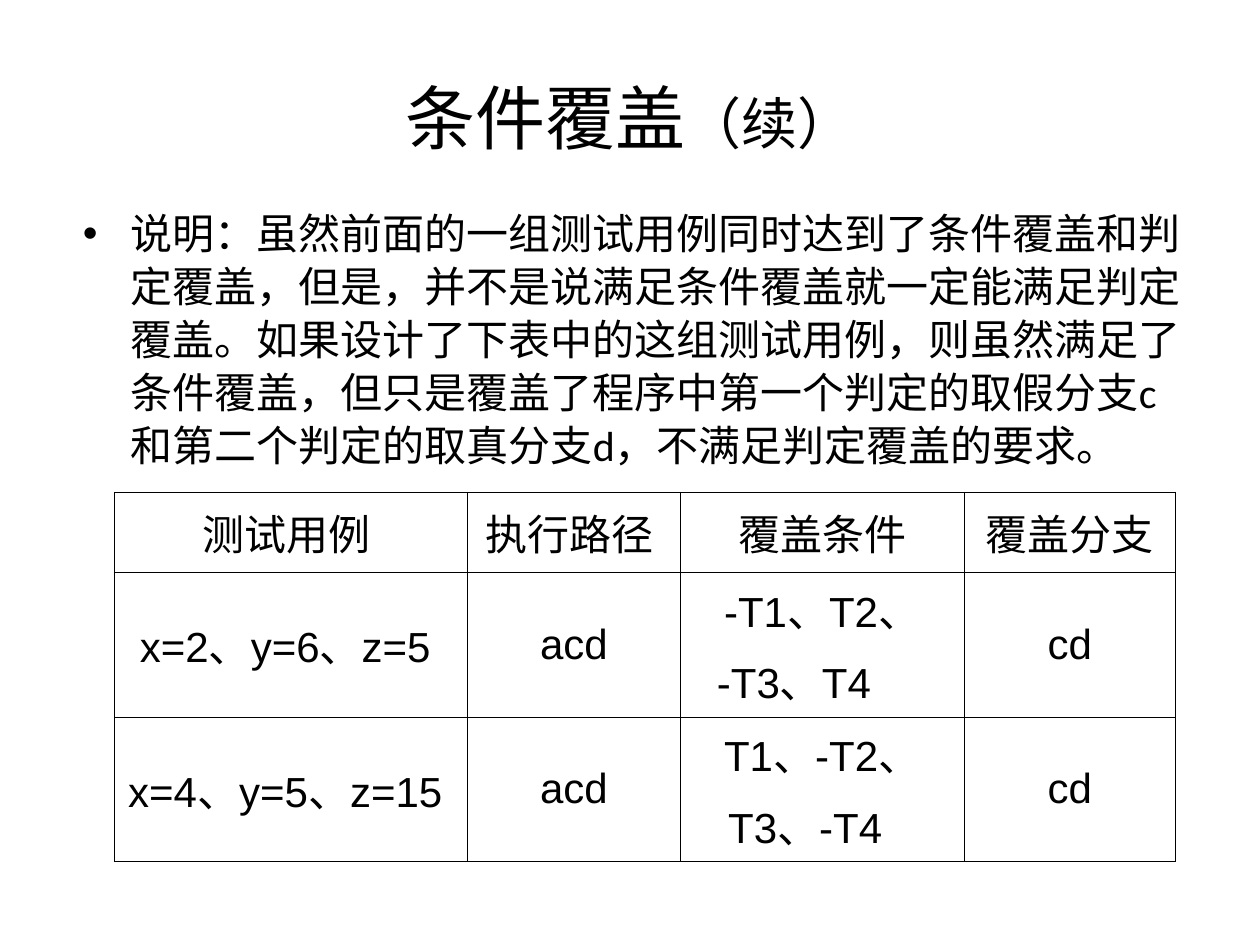
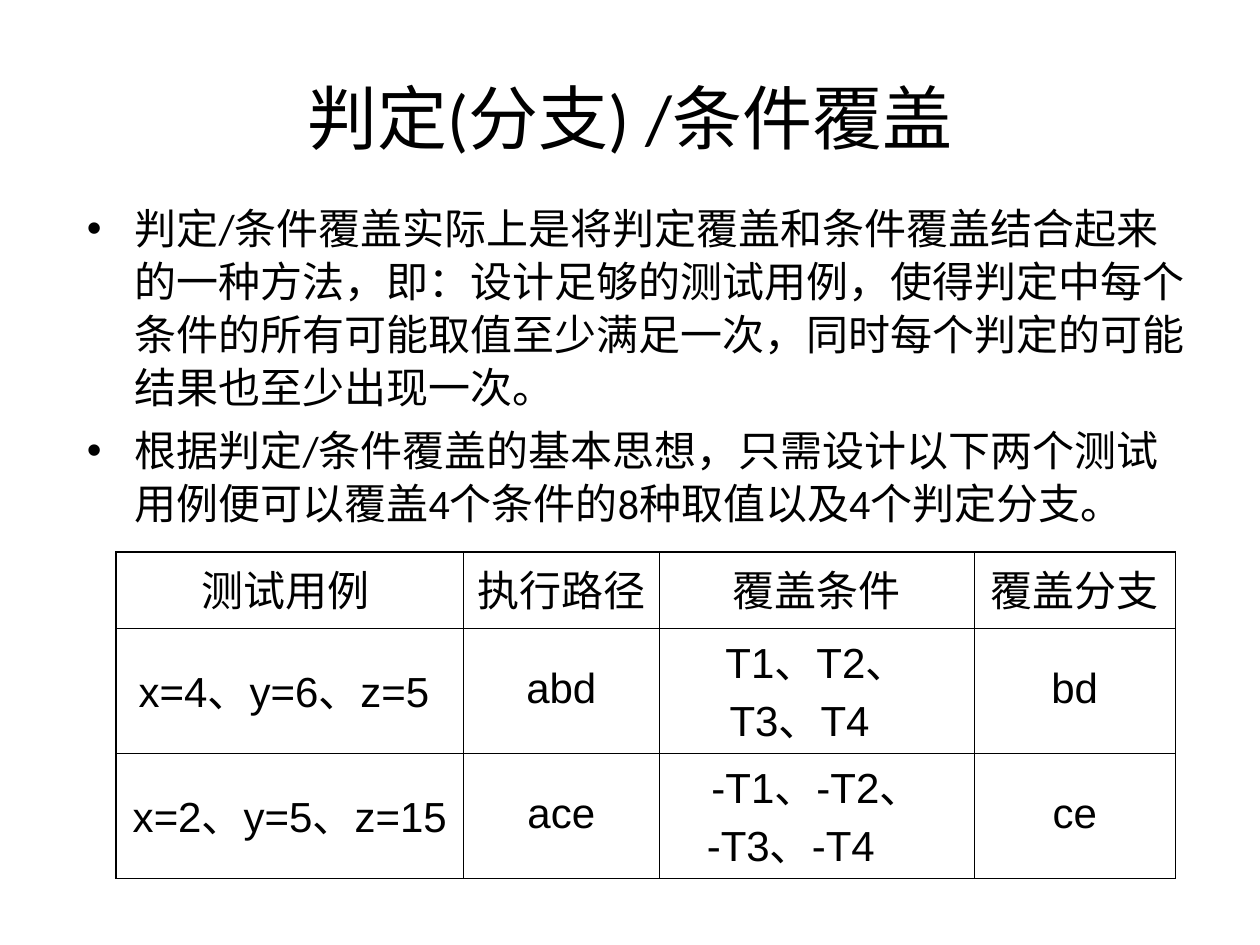
from dataclasses import dataclass

from lxml.etree import SubElement
from pptx import Presentation
from pptx.dml.color import RGBColor
from pptx.enum.lang import MSO_LANGUAGE_ID
from pptx.enum.text import MSO_ANCHOR, PP_ALIGN
from pptx.oxml import parse_xml
from pptx.oxml.ns import nsdecls, qn
from pptx.util import Inches, Pt


@dataclass(frozen=True)
class Theme:
    """Colours, fonts, type sizes and line widths of the deck."""
    ink: str = "000000"
    text_font: str = "Calibri"
    table_font: str = "Arial"
    title_size: float = 40
    suffix_size: float = 32
    body_size: float = 24
    outer_line: float = 1.08
    inner_line: float = 0.45


class Deck:
    """Holds the theme and the current slide and draws each kind of element."""

    def __init__(self, prs, theme):
        """Keep the presentation and its theme."""
        self.prs, self.theme, self.s = prs, theme, None

    def slide(self):
        """Start a blank slide."""
        self.s = self.prs.slides.add_slide(self.prs.slide_layouts[6])

    def style(self, r, size, font):
        """Format one run."""
        r.font.size = Pt(size)
        r.font.name = font
        r.font.color.rgb = RGBColor.from_string(self.theme.ink)
        r.font.language_id = MSO_LANGUAGE_ID.SIMPLIFIED_CHINESE

    def text_box(self, left, top, width, height):
        """Add a wrapping text box and return its text frame."""
        sp = self.s.shapes.add_textbox(Inches(left), Inches(top), Inches(width), Inches(height))
        sp.text_frame.word_wrap = True
        return sp.text_frame

    def title(self, text, suffix=""):
        """Add the centred title, with an optional smaller suffix."""
        tf = self.text_box(0.5, 0.3, 9, 1.25)
        tf.vertical_anchor = MSO_ANCHOR.MIDDLE
        p = tf.paragraphs[0]
        p.alignment = PP_ALIGN.CENTER
        for part, size in ((text, self.theme.title_size), (suffix, self.theme.suffix_size)):
            if part:
                r = p.add_run()
                r.text = part
                self.style(r, size, self.theme.text_font)

    def bullets(self, left, top, width, height, items):
        """Add a bulleted list."""
        tf = self.text_box(left, top, width, height)
        for i, item in enumerate(items):
            p = tf.paragraphs[0] if i == 0 else tf.add_paragraph()
            p.text = item
            p.line_spacing = 1.05
            if i:
                p.space_before = Pt(6)
            pPr = p._p.get_or_add_pPr()
            pPr.set("marL", str(Inches(0.38)))
            pPr.set("indent", str(-Inches(0.38)))
            SubElement(pPr, qn("a:buFont"), typeface=self.theme.table_font)
            SubElement(pPr, qn("a:buChar"), char="•")
            self.style(p.runs[0], self.theme.body_size, self.theme.text_font)

    def borders(self, cell, widths):
        """Draw the left, right, top and bottom borders of a cell."""
        tcPr = cell._tc.get_or_add_tcPr()
        for i, (side, width) in enumerate(zip("LRTB", widths)):
            tcPr.insert(i, parse_xml(
                f'<a:ln{side} {nsdecls("a")} w="{Pt(width)}"><a:solidFill>'
                f'<a:srgbClr val="{self.theme.ink}"/></a:solidFill></a:ln{side}>'))

    def cell(self, cell, content, line_spacing, space_before):
        """Fill a cell; a tuple gives two lines and the indent of the second."""
        first, *more = content if isinstance(content, tuple) else (content,)
        cell.fill.background()
        cell.vertical_anchor = MSO_ANCHOR.MIDDLE
        tf = cell.text_frame
        p = tf.paragraphs[0]
        p.text = first
        p.alignment = PP_ALIGN.CENTER
        if more:
            p = tf.add_paragraph()
            p.text = more[0]
            p.alignment = PP_ALIGN.LEFT
            p.space_before = Pt(space_before)
            p._p.get_or_add_pPr().set("marL", str(Inches(more[1])))
        for p in tf.paragraphs:
            p.line_spacing = line_spacing
            self.style(p.runs[0], self.theme.body_size, self.theme.table_font)

    def table(self, left, top, widths, heights, rows, line_spacing, space_before):
        """Add a ruled table with a heavier outline on the left, top and right."""
        outer, inner = self.theme.outer_line, self.theme.inner_line
        table = self.s.shapes.add_table(
            len(rows), len(widths), Inches(left), Inches(top),
            Inches(sum(widths)), Inches(sum(heights))).table
        table.first_row = table.horz_banding = False
        for column, width in zip(table.columns, widths):
            column.width = Inches(width)
        for i, (row, height) in enumerate(zip(rows, heights)):
            table.rows[i].height = Inches(height)
            for j, content in enumerate(row):
                cell = table.cell(i, j)
                self.cell(cell, content, line_spacing, space_before)
                self.borders(cell, (
                    inner if j else outer,
                    outer if j == len(widths) - 1 else inner,
                    inner if i else outer,
                    inner))


HEADINGS = ("测试用例 ", "执行路径 ", "覆盖条件", "覆盖分支")


def condition_coverage(deck):
    """Condition coverage, continued."""
    deck.slide()
    deck.title("条件覆盖", "（续）")
    deck.bullets(0.56, 1.58, 9.08, 2.32, [
        "说明：虽然前面的一组测试用例同时达到了条件覆盖和判定覆盖，但是，并不是说满足条件覆盖就一定能满足判定覆盖。"
        "如果设计了下表中的这组测试用例，则虽然满足了条件覆盖，但只是覆盖了程序中第一个判定的取假分支c "
        "和第二个判定的取真分支d，不满足判定覆盖的要求。",
    ])
    deck.table(0.91, 3.91, (2.8, 1.69, 2.25, 1.68), (0.63, 1.15, 1.15), [
        HEADINGS,
        ("x=2、y=6、z=5 ", "acd", ("-T1、T2、", "-T3、T4", 0.19), "cd"),
        ("x=4、y=5、z=15 ", "acd", ("T1、-T2、", "T3、-T4", 0.28), "cd"),
    ], line_spacing=1.0, space_before=6)


def decision_condition_coverage(deck):
    """Decision/condition coverage."""
    deck.slide()
    deck.title("判定(分支) /条件覆盖")
    deck.bullets(0.59, 1.54, 8.98, 3.27, [
        "判定/条件覆盖实际上是将判定覆盖和条件覆盖结合起来的一种方法，即：设计足够的测试用例，"
        "使得判定中每个条件的所有可能取值至少满足一次，同时每个判定的可能结果也至少出现一次。",
        "根据判定/条件覆盖的基本思想，只需设计以下两个测试用例便可以覆盖4个条件的8种取值以及4个判定分支。",
    ])
    deck.table(0.92, 4.38, (2.76, 1.55, 2.5, 1.6), (0.61, 0.99, 0.99), [
        HEADINGS,
        ("x=4、y=6、z=5 ", "abd", ("T1、T2、", "T3、T4", 0.46), "bd"),
        ("x=2、y=5、z=15", "ace", ("-T1、-T2、", "-T3、-T4", 0.28), "ce"),
    ], line_spacing=0.9, space_before=1.5)


def main():
    """Build and save the deck."""
    prs = Presentation()
    prs.slide_width, prs.slide_height = Inches(10), Inches(7.5)
    deck = Deck(prs, Theme())
    condition_coverage(deck)
    decision_condition_coverage(deck)
    prs.save("out.pptx")


if __name__ == "__main__":
    main()
